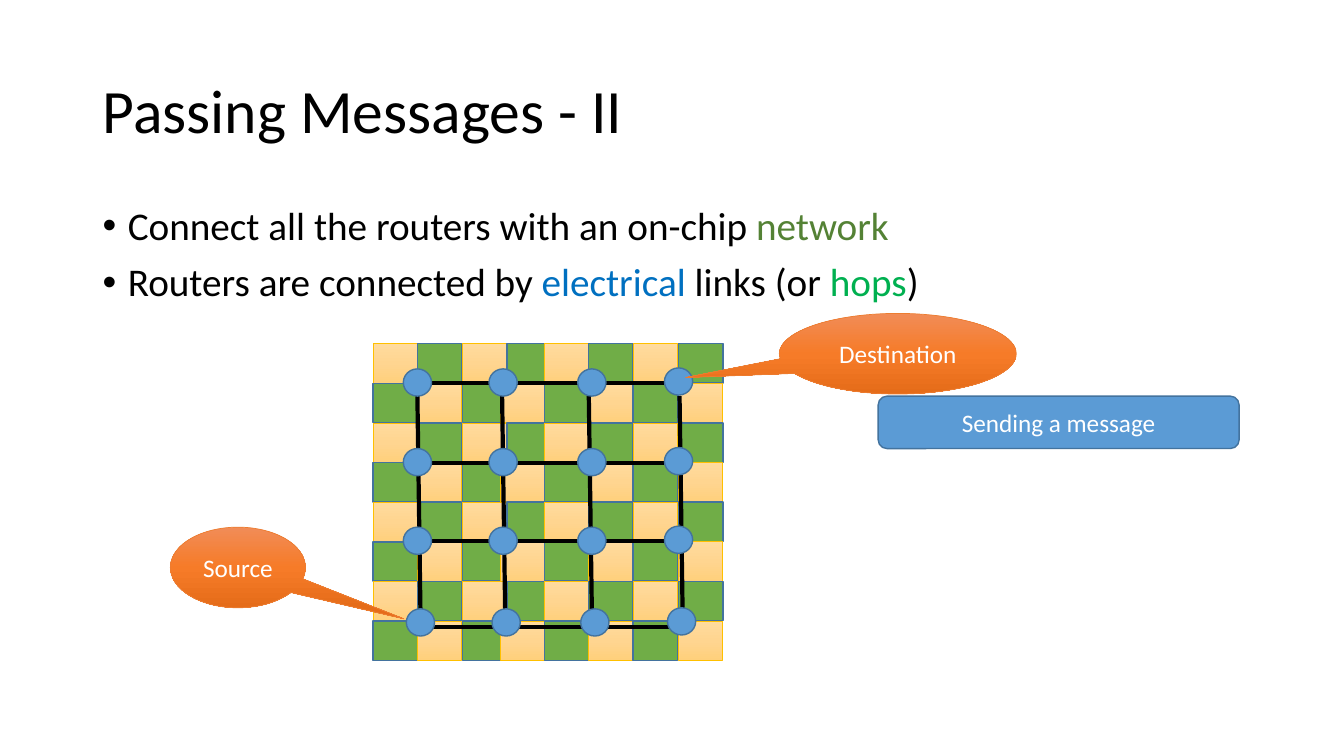
from copy import deepcopy

from lxml import etree
from pptx import Presentation
from pptx.dml.color import RGBColor
from pptx.enum.shapes import MSO_CONNECTOR, MSO_SHAPE
from pptx.enum.text import MSO_ANCHOR, PP_ALIGN
from pptx.oxml.ns import qn
from pptx.util import Inches, Pt

RECT, OVAL = MSO_SHAPE.RECTANGLE, MSO_SHAPE.OVAL
ROUNDED, CALLOUT = MSO_SHAPE.ROUNDED_RECTANGLE, MSO_SHAPE.OVAL_CALLOUT
STRAIGHT = MSO_CONNECTOR.STRAIGHT
TOP, MIDDLE = MSO_ANCHOR.TOP, MSO_ANCHOR.MIDDLE
CENTER = PP_ALIGN.CENTER

FONT = "Calibri"
BLACK = RGBColor(0x00, 0x00, 0x00)
WHITE = RGBColor(0xFF, 0xFF, 0xFF)
BLUE = RGBColor(0x5B, 0x9B, 0xD5)
BLUE_EDGE = RGBColor(0x43, 0x73, 0x9E)
GREEN = RGBColor(0x70, 0xAD, 0x47)
GOLD = RGBColor(0xFF, 0xC0, 0x00)
ORANGE = RGBColor(0xED, 0x7D, 0x31)
DARK_GREEN = RGBColor(0x54, 0x82, 0x35)
LINK_BLUE = RGBColor(0x00, 0x70, 0xC0)
HOP_GREEN = RGBColor(0x00, 0xB0, 0x50)
TAN_STOPS = (RGBColor(0xFF, 0xDB, 0x9E), RGBColor(0xFF, 0xD5, 0x90), RGBColor(0xFF, 0xD0, 0x7C))
ORANGE_STOPS = (RGBColor(0xF1, 0x8C, 0x57), RGBColor(0xF6, 0x7B, 0x28), RGBColor(0xE5, 0x6C, 0x19))

TITLE = "Passing Messages - II"
BULLETS = [
    [("Connect all the routers with an on-chip ", BLACK), ("network", DARK_GREEN)],
    [("Routers are connected by ", BLACK), ("electrical", LINK_BLUE),
     (" links (or ", BLACK), ("hops", HOP_GREEN), (")", BLACK)],
]
MESSAGE = ("Sending a message", (8.71, 3.93, 3.58, 0.52))
CALLOUTS = [  # label, box, pointer tip
    ("Source", (1.69, 5.23, 1.34, 0.8), (1.228, 0.637)),
    ("Destination", (7.73, 3.11, 2.35, 0.8), (-0.896, 0.295)),
]

TILE_W, TILE_H, TILE_TOP, TILE_ROWS = 0.44, 0.39, 3.41, 8
TILE_X = [3.7, 4.14, 4.59, 5.03, 5.4, 5.84, 6.28, 6.73]
ODD_ROW_X = TILE_X[:3] + [4.96] + TILE_X[4:]
ROW_STEP = 0.393

ROUTER_W, ROUTER_H = 0.28, 0.27
ROUTER_X = [4, 4.85, 5.73, 6.59]
ROUTER_Y = [3.66, 4.45, 5.23, 6.04]
LAST_ROW_SHIFT = 0.03
ROW_LINKS = [(4.14, 6.73, 3.8), (4.14, 6.73, 4.59), (4.14, 6.73, 5.37), (4.18, 6.76, 6.22)]
COLUMN_LINK_X = [4.14, 4.98, 5.84, 6.74]
COLUMN_LINK_Y = (3.93, 6.04)


def fill_gradient(sp, colors):
    """Fill with evenly spaced stops running from top to bottom."""
    sp.fill.gradient()
    sp.fill.gradient_angle = 270
    stop_list = sp._element.spPr.find(qn("a:gradFill")).find(qn("a:gsLst"))
    stop_list.append(deepcopy(stop_list[0]))
    for i, (stop, color) in enumerate(zip(sp.fill.gradient_stops, colors)):
        stop.color.rgb = color
        stop.position = i / (len(colors) - 1)


def add_shape(slide, kind, box, fill, edge, edge_pt=1):
    sp = slide.shapes.add_shape(kind, *map(Inches, box))
    sp.shadow.inherit = False
    if isinstance(fill, RGBColor):
        sp.fill.solid()
        sp.fill.fore_color.rgb = fill
    else:
        fill_gradient(sp, fill)
    sp.line.color.rgb = edge
    sp.line.width = Pt(edge_pt)
    return sp


def add_link(slide, x1, y1, x2, y2):
    line = slide.shapes.add_connector(STRAIGHT, *map(Inches, (x1, y1, x2, y2)))
    line.line.color.rgb = BLACK
    line.line.width = Pt(3)
    etree.SubElement(line._element.spPr, qn("a:effectLst"))


def add_run(p, text, size, color):
    r = p.add_run()
    r.text = text
    r.font.name, r.font.size, r.font.color.rgb = FONT, Pt(size), color


def add_label(sp, text):
    tf = sp.text_frame
    tf.word_wrap = True
    tf.vertical_anchor = MIDDLE
    tf.paragraphs[0].alignment = CENTER
    add_run(tf.paragraphs[0], text, 18, WHITE)


def add_text_area(slide, box, anchor):
    tf = slide.shapes.add_textbox(*map(Inches, box)).text_frame
    tf.word_wrap = True
    tf.vertical_anchor = anchor
    tf.paragraphs[0].line_spacing = 0.9
    return tf


def add_bullets(tf):
    for i, parts in enumerate(BULLETS):
        p = tf.add_paragraph() if i else tf.paragraphs[0]
        p.line_spacing = 0.9
        if i:
            p.space_before = Pt(10)
        pPr = p._p.get_or_add_pPr()
        pPr.set("marL", str(Inches(0.25)))
        pPr.set("indent", str(-Inches(0.25)))
        etree.SubElement(pPr, qn("a:buFont")).set("typeface", "Arial")
        etree.SubElement(pPr, qn("a:buChar")).set("char", "•")
        for text, color in parts:
            add_run(p, text, 28, color)


def add_tiles(slide):
    for row in range(TILE_ROWS):
        tiles = list(enumerate(ODD_ROW_X if row % 2 else TILE_X))
        if row % 2:
            tiles = tiles[-1:] + tiles[:-1]  # the last tile lies underneath
        for col, x in tiles:
            box = (x, TILE_TOP + row * ROW_STEP, TILE_W, TILE_H)
            if (row + col) % 2:
                add_shape(slide, RECT, box, GREEN, BLUE_EDGE)
            else:
                add_shape(slide, RECT, box, TAN_STOPS, GOLD, 0.5)


def add_network(slide):
    for x1, x2, y in ROW_LINKS:
        add_link(slide, x1, y, x2, y)
    top, bottom = COLUMN_LINK_Y
    for x in COLUMN_LINK_X:
        add_link(slide, x, top, x + LAST_ROW_SHIFT, bottom)
    for y in ROUTER_Y:
        shift = LAST_ROW_SHIFT if y == ROUTER_Y[-1] else 0
        for x in ROUTER_X:
            lift = 0.01 if x == ROUTER_X[-1] else 0
            add_shape(slide, OVAL, (x + shift, y - lift, ROUTER_W, ROUTER_H), BLUE, BLUE_EDGE)


def main():
    prs = Presentation()
    prs.slide_width, prs.slide_height = Inches(13.33), Inches(7.5)
    slide = prs.slides.add_slide(prs.slide_layouts[6])

    title = add_text_area(slide, (0.92, 0.4, 11.5, 1.45), MIDDLE)
    add_run(title.paragraphs[0], TITLE, 44, BLACK)
    add_bullets(add_text_area(slide, (0.92, 2, 11.5, 4.76), TOP))
    add_tiles(slide)
    add_network(slide)

    text, box = MESSAGE
    add_label(add_shape(slide, ROUNDED, box, BLUE, BLUE_EDGE), text)
    for text, box, tip in CALLOUTS:
        sp = add_shape(slide, CALLOUT, box, ORANGE_STOPS, ORANGE, 0.5)
        sp.adjustments[0], sp.adjustments[1] = tip
        add_label(sp, text)

    prs.save("out.pptx")


if __name__ == "__main__":
    main()
